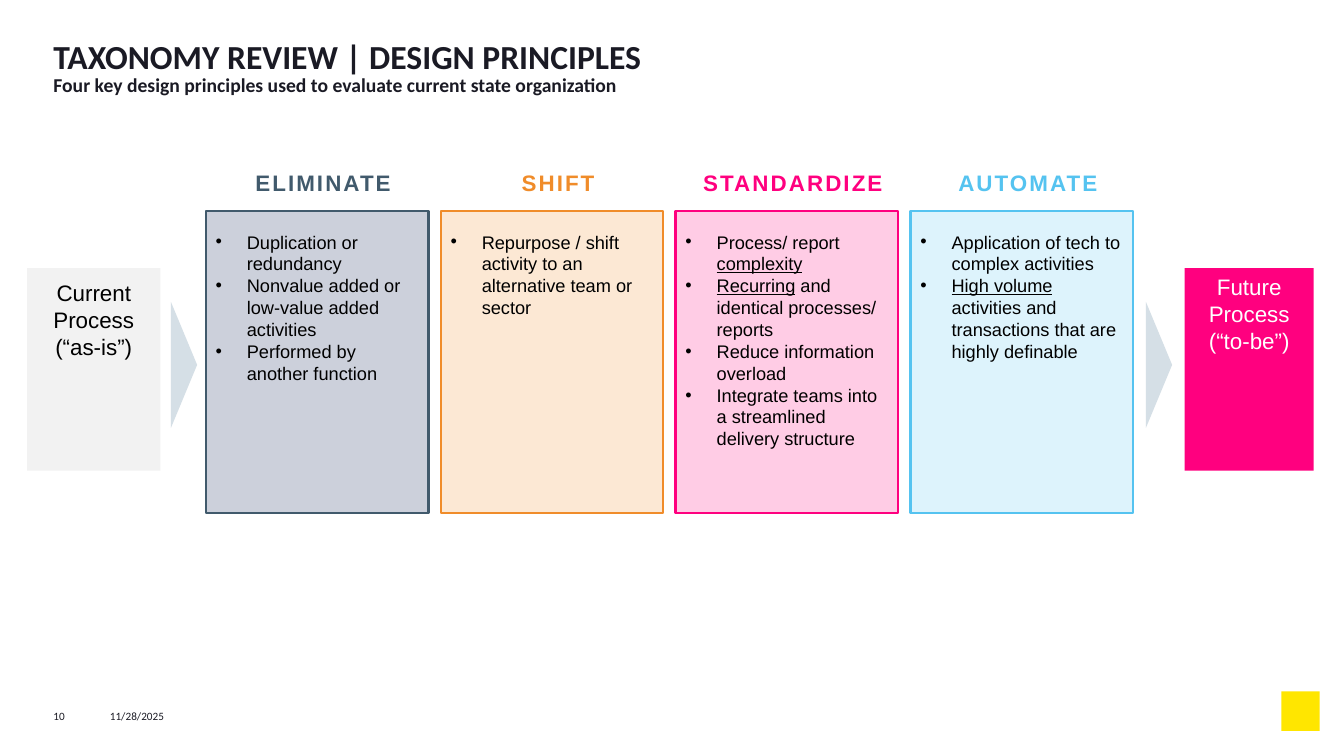
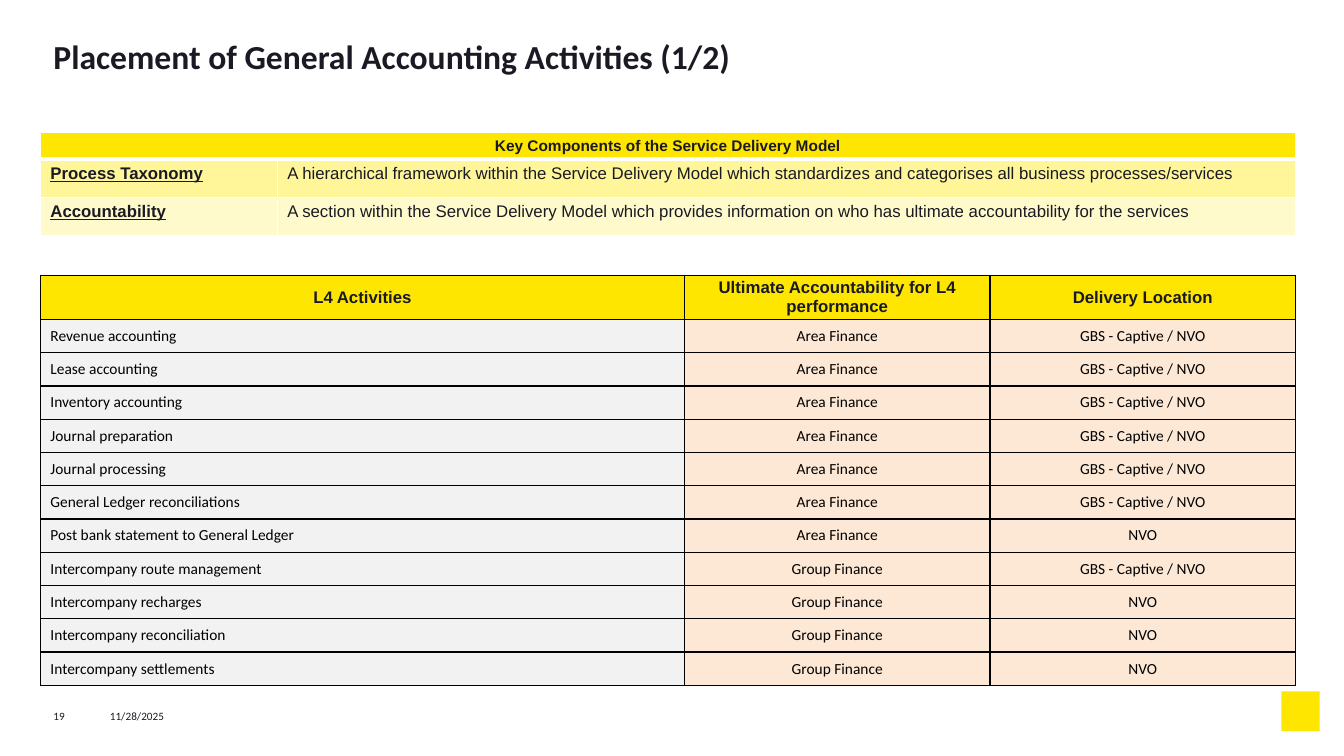
"""Build two slides: taxonomy design principles and placement of accounting activities."""
from lxml import etree
from pptx import Presentation
from pptx import util as u
from pptx.dml.color import RGBColor
from pptx.enum import shapes, text
from pptx.oxml.ns import qn

COLORS = {
    "ink": "1A1A24", "black": "000000", "white": "FFFFFF", "grey": "F2F2F2",
    "yellow": "FFE600", "mid_yellow": "FFF599", "pale_yellow": "FFFACC",
    "slate": "415A6C", "pale_slate": "CCD0DB", "arrow": "D5DFE6",
    "orange": "F08C2A", "pale_orange": "FCE8D4",
    "pink": "FF007F", "pale_pink": "FFCCE5",
    "sky": "55C3F0", "pale_sky": "DDF3FC",
}
STYLES = {
    "title": {"name": "Calibri", "size": u.Pt(24), "bold": True},
    "subtitle": {"name": "Calibri", "size": u.Pt(14), "bold": True},
    "footer": {"name": "Calibri", "size": u.Pt(8)},
    "label": {"name": "Arial", "size": u.Pt(16)},
    "heading": {"name": "Arial", "size": u.Pt(16), "bold": True},
    "bullet": {"name": "Arial", "size": u.Pt(13)},
    "banner": {"name": "Arial", "size": u.Pt(11), "bold": True},
    "term": {"name": "Arial", "size": u.Pt(12), "bold": True, "underline": True},
    "meaning": {"name": "Arial", "size": u.Pt(12), "bold": False},
    "column": {"name": "Arial", "size": u.Pt(12), "bold": True},
    "cell": {"name": "Calibri", "size": u.Pt(11), "bold": False},
}
LEFT, CENTER = text.PP_ALIGN.LEFT, text.PP_ALIGN.CENTER
TOP, MIDDLE = text.MSO_ANCHOR.TOP, text.MSO_ANCHOR.MIDDLE
NO_MARGINS = (0, 0, 0, 0)
DATE = "11/28/2025"

PRINCIPLES = [
    ("ELIMINATE", "slate", [
        "Duplication or redundancy",
        "Nonvalue added or low-value added activities",
        "Performed by another function"]),
    ("SHIFT", "orange", [
        "Repurpose / shift activity to an alternative team or sector"]),
    ("STANDARDIZE", "pink", [
        "Process/ report _complexity_",
        "_Recurring_ and identical processes/ reports",
        "Reduce information overload",
        "Integrate teams into a streamlined delivery structure"]),
    ("AUTOMATE", "sky", [
        "Application of tech to complex activities",
        "_High volume_ activities and transactions that are highly definable"]),
]
STATES = [
    (["Current", "Process", "(“as-is”)"], 0.27, 1.32, 0.11, "grey", "black"),
    (["Future", "Process", "(“to-be”)"], 11.75, 1.28, 0.05, "pink", "white"),
]
ARROW_LEFTS = [1.2, 10.87]
COMPONENTS = [
    ("Process Taxonomy", "A hierarchical framework within the Service Delivery Model which "
     "standardizes and categorises all business processes/services", "mid_yellow"),
    ("Accountability", "A section within the Service Delivery Model which provides information "
     "on who has ultimate accountability for the services", "pale_yellow"),
]
ACTIVITY_COLUMNS = ["L4 Activities", "Ultimate Accountability for L4 performance",
                    "Delivery Location"]
AREA, GROUP = "Area Finance", "Group Finance"
VENDOR, SHARED = "NVO", "GBS - Captive / NVO"
ACTIVITIES = [
    ("Revenue accounting", AREA, SHARED),
    ("Lease accounting", AREA, SHARED),
    ("Inventory accounting", AREA, SHARED),
    ("Journal preparation", AREA, SHARED),
    ("Journal processing", AREA, SHARED),
    ("General Ledger reconciliations", AREA, SHARED),
    ("Post bank statement to General Ledger", AREA, VENDOR),
    ("Intercompany route management", GROUP, SHARED),
    ("Intercompany recharges", GROUP, VENDOR),
    ("Intercompany reconciliation", GROUP, VENDOR),
    ("Intercompany settlements", GROUP, VENDOR),
]


def rgb(name):
    return RGBColor.from_string(COLORS[name])


def inches(values):
    return [u.Inches(value) for value in values]


def set_margins(target, margins):
    for side, value in zip(("left", "top", "right", "bottom"), inches(margins)):
        setattr(target, f"margin_{side}", value)


def add_run(paragraph, words, style, color, **extra):
    run = paragraph.add_run()
    run.text = words
    for name, value in {**STYLES[style], **extra}.items():
        setattr(run.font, name, value)
    run.font.color.rgb = rgb(color)
    return run


def write(frame, lines, style, color, align=LEFT, bullets=False):
    for index, line in enumerate(lines):
        paragraph = frame.add_paragraph() if index else frame.paragraphs[0]
        paragraph.alignment = align
        if bullets:
            properties = paragraph._p.get_or_add_pPr()
            hang = u.Inches(0.31)
            properties.set("marL", str(hang))
            properties.set("indent", str(-hang))
            etree.SubElement(properties, qn("a:buFont")).set("typeface", "Arial")
            etree.SubElement(properties, qn("a:buChar")).set("char", "•")
        for part, words in enumerate(line.split("_")):
            if words:
                extra = {"underline": True} if part % 2 else {}
                add_run(paragraph, words, style, color, **extra)


def set_frame(shape, margins, anchor=TOP):
    frame = shape.text_frame
    frame.word_wrap = True
    frame.auto_size = text.MSO_AUTO_SIZE.NONE
    frame.vertical_anchor = anchor
    set_margins(frame, margins)
    return frame


def add_box(slide, place, fill, line=None, kind="RECTANGLE"):
    shape = slide.shapes.add_shape(getattr(shapes.MSO_SHAPE, kind), *inches(place))
    shape.shadow.inherit = False
    shape.fill.solid()
    shape.fill.fore_color.rgb = rgb(fill)
    if line:
        shape.line.color.rgb = rgb(line)
        shape.line.width = u.Pt(1.5)
    else:
        shape.line.fill.background()
    return shape


def add_text(slide, place, margins=NO_MARGINS, anchor=TOP):
    return set_frame(slide.shapes.add_textbox(*inches(place)), margins, anchor)


def add_slide(presentation, title, number, subtitle=None):
    slide = presentation.slides.add_slide(presentation.slide_layouts[5])
    holder = slide.shapes.title
    holder.left, holder.top, holder.width, holder.height = inches((0.53, 0.42, 12.28, 0.7))
    paragraph = set_frame(holder, NO_MARGINS).paragraphs[0]
    paragraph.alignment = LEFT
    paragraph.line_spacing = 0.85
    add_run(paragraph, title, "title", "ink")
    if subtitle:
        paragraph.add_line_break()
        add_run(paragraph, subtitle, "subtitle", "ink")
    for words, left, width in ((number, 0.53, 0.56), (DATE, 1.09, 1.4)):
        write(add_text(slide, (left, 7.04, width, 0.13)), [words], "footer", "ink")
    add_box(slide, (12.71, 6.86, 0.38, 0.39), "yellow")
    return slide


def add_table(slide, place, widths, heights):
    table = slide.shapes.add_table(len(heights), len(widths), *inches(place)).table
    table.first_row = table.horz_banding = False
    for column, width in zip(table.columns, inches(widths)):
        column.width = width
    for row, height in zip(table.rows, inches(heights)):
        row.height = height
    return table


def format_cell(cell, fill, border, thick=()):
    cell.fill.solid()
    cell.fill.fore_color.rgb = rgb(fill)
    properties = cell._tc.get_or_add_tcPr()
    for index, side in enumerate("LRTB"):
        line = etree.Element(qn(f"a:ln{side}"), w=str(u.Pt(3 if side in thick else 1)))
        solid = etree.SubElement(line, qn("a:solidFill"))
        etree.SubElement(solid, qn("a:srgbClr"), val=COLORS[border])
        properties.insert(index, line)


def build_principles(presentation):
    slide = add_slide(presentation, "TAXONOMY REVIEW | DESIGN PRINCIPLES", "10",
                      "Four key design principles used to evaluate current state organization")
    for lines, left, width, inset, fill, color in STATES:
        box = add_box(slide, (left, 2.66, width, 2.01), fill)
        write(set_frame(box, (0.1, inset, 0.1, 0.05)), lines, "label", color, CENTER)
    for left in ARROW_LEFTS:
        add_box(slide, (left, 3.49, 1.25, 0.26), "arrow", kind="ISOSCELES_TRIANGLE").rotation = 90
    width, gap = 2.21, 0.12
    for index, (heading, color, bullets) in enumerate(PRINCIPLES):
        left = 2.04 + index * (width + gap)
        box = add_box(slide, (left, 2.09, width, 3), f"pale_{color}", color)
        write(set_frame(box, (0.1, 0.2, 0.1, 0.05)), bullets, "bullet", "black", bullets=True)
        frame = add_text(slide, (left, 1.51, width, 0.6), (0.12, 0.05, 0, 0.05), MIDDLE)
        write(frame, [heading], "heading", color, CENTER)
        frame.paragraphs[0].runs[0].font._element.set("spc", "150")


def build_placement(presentation):
    slide = add_slide(presentation, "Placement of General Accounting Activities (1/2)", "19")

    table = add_table(slide, (0.4, 1.31, 12.45, 1.01), [2.35, 10.1], [0.25, 0.38, 0.38])
    banner = table.cell(0, 0)
    banner.merge(table.cell(0, 1))
    write(banner.text_frame, ["Key Components of the Service Delivery Model"],
          "banner", "ink", CENTER)
    for column in range(2):
        format_cell(table.cell(0, column), "yellow", "white", "B")
    for row, (term, meaning, fill) in enumerate(COMPONENTS, 1):
        for column, (words, style) in enumerate(((term, "term"), (meaning, "meaning"))):
            cell = table.cell(row, column)
            write(cell.text_frame, [words], style, "ink")
            format_cell(cell, fill, "white", "T" if row == 1 else "")

    table = add_table(slide, (0.4, 2.73, 12.45, 4.07), [6.39, 3.03, 3.03],
                      [0.44] + [0.33] * len(ACTIVITIES))
    for row, values in enumerate([ACTIVITY_COLUMNS, *ACTIVITIES]):
        for column, words in enumerate(values):
            cell = table.cell(row, column)
            cell.vertical_anchor = MIDDLE
            if row == 0:
                style, color, fill, margins = "column", "ink", "yellow", (0, 0.01, 0, 0.01)
            else:
                style, color, margins = "cell", "black", (0.1, 0, 0.1, 0)
                fill = "pale_orange" if column else "grey"
            set_margins(cell, margins)
            align = LEFT if row and not column else CENTER
            write(cell.text_frame, [words], style, color, align)
            format_cell(cell, fill, "black")


def main():
    presentation = Presentation()
    presentation.slide_width, presentation.slide_height = inches((13.33, 7.5))
    build_principles(presentation)
    build_placement(presentation)
    presentation.save("out.pptx")


if __name__ == "__main__":
    main()
